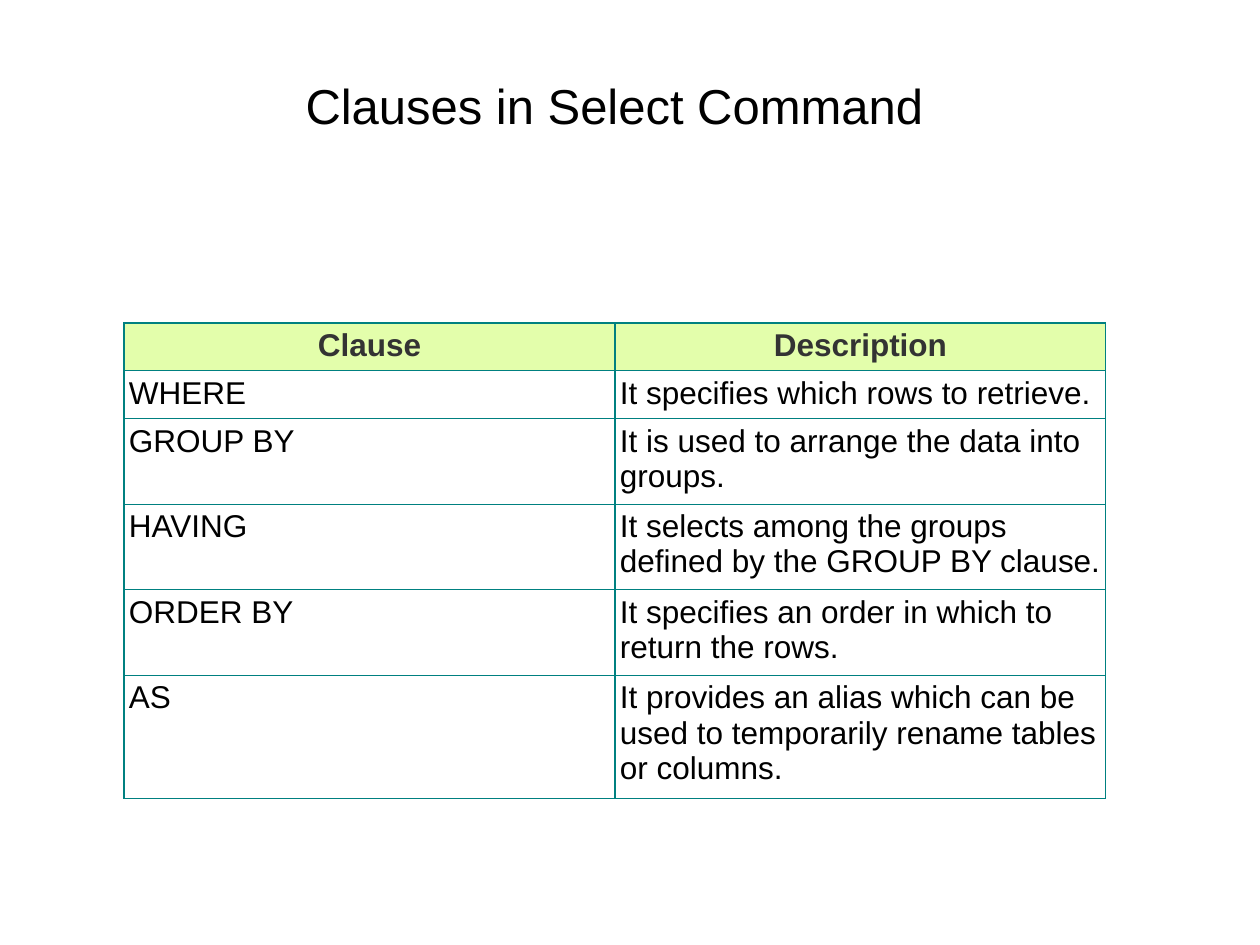
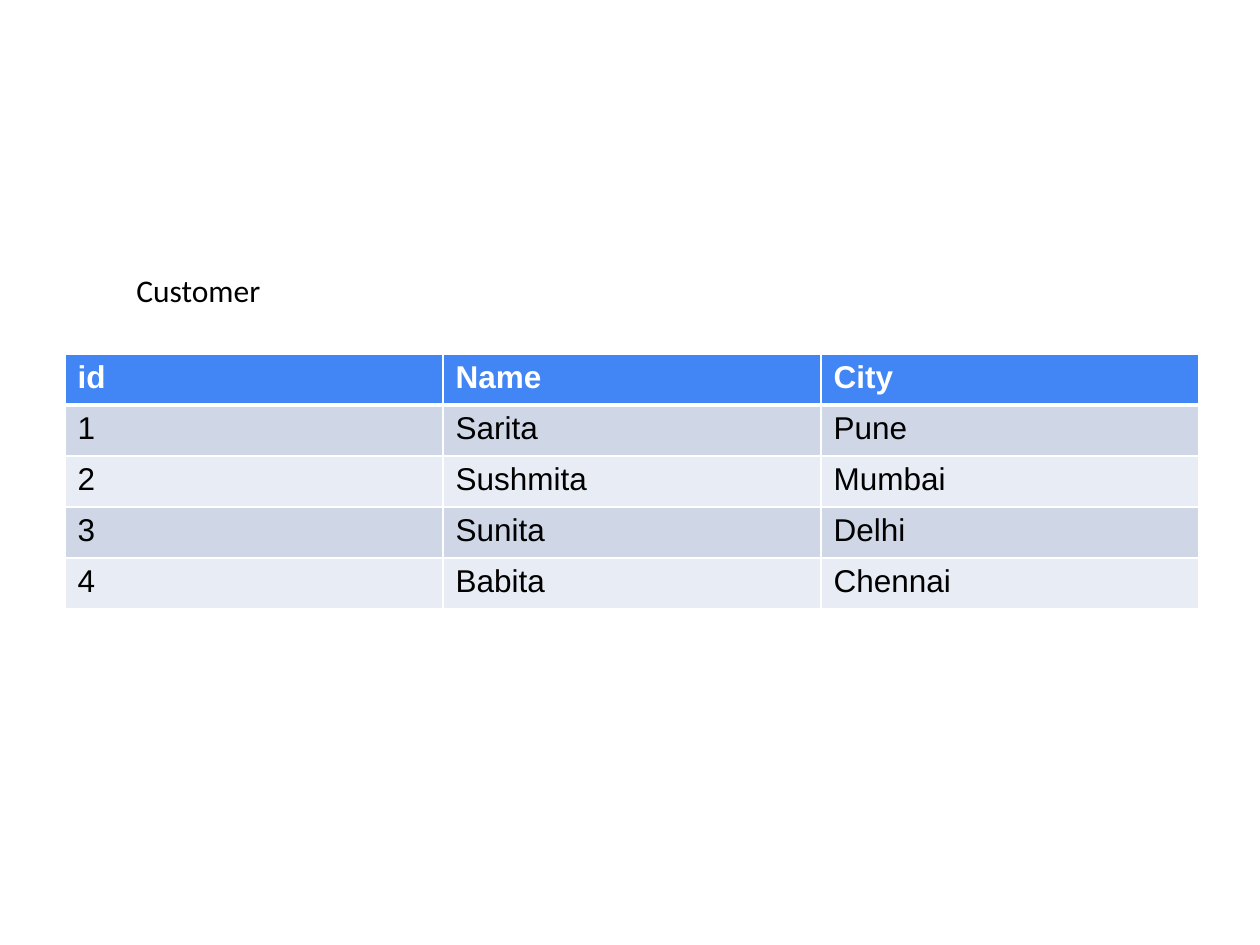
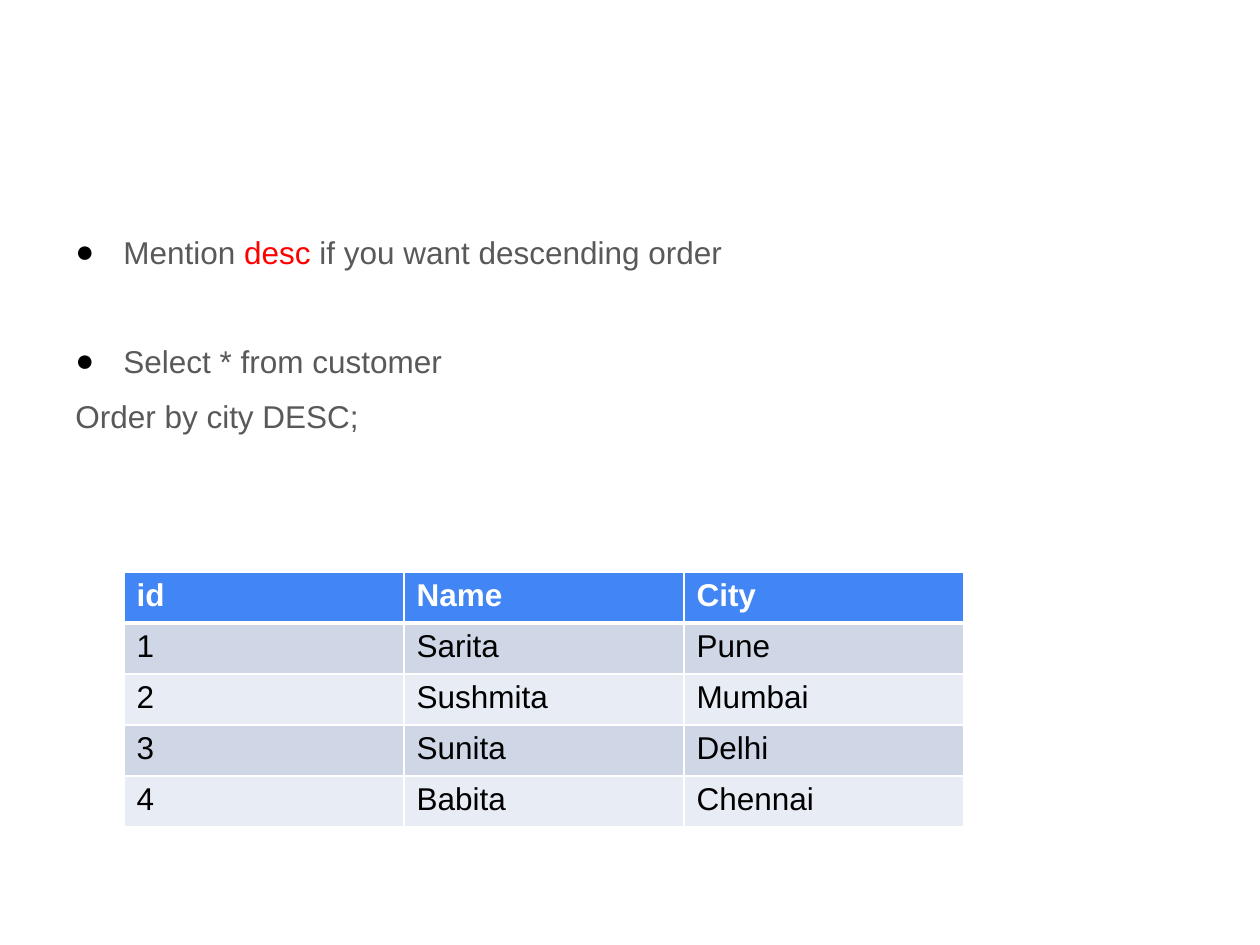
import dataclasses
import typing

import lxml.etree
import pptx
import pptx.dml.color
import pptx.enum.text
import pptx.oxml.ns
import pptx.util

PX_PER_INCH = 126


def px(length: int) -> pptx.util.Emu:
    return pptx.util.Emu(round(length * 914400 / PX_PER_INCH))


@dataclasses.dataclass(frozen=True)
class Theme:
    font: str = "Arial"
    label_font: str = "Calibri"
    title_size: int = 28
    text_size: int = 18
    black: str = "000000"
    white: str = "FFFFFF"
    gray: str = "595959"
    red: str = "FF0000"
    dark: str = "333333"
    lime: str = "E3FEAB"
    teal: str = "008080"
    blue: str = "4285F4"
    band: str = "CFD7E7"
    pale_band: str = "E8ECF4"


THEME = Theme()


@dataclasses.dataclass(frozen=True)
class Span:
    text: str
    color: str = THEME.black
    size: int = THEME.text_size
    font: str = THEME.font
    bold: bool = False


@dataclasses.dataclass(frozen=True)
class Para:
    spans: tuple[Span, ...]
    format: dict[str, typing.Any] = dataclasses.field(default_factory=dict)
    bullet: bool = False


@dataclasses.dataclass(frozen=True)
class Box:
    left: int
    top: int
    width: int
    height: int
    paras: tuple[Para, ...]
    format: dict[str, typing.Any] = dataclasses.field(default_factory=dict)


@dataclasses.dataclass(frozen=True)
class TableStyle:
    header_fill: str
    header_color: str
    body_fills: tuple[str, ...]
    border_color: str
    border: float
    header_rule: float
    row_height: int
    margins: dict[str, typing.Any]
    header_format: dict[str, typing.Any] = dataclasses.field(default_factory=dict)


@dataclasses.dataclass(frozen=True)
class Grid:
    left: int
    top: int
    column_width: int
    rows: tuple[tuple[str, ...], ...]
    style: TableStyle


CENTER = {"alignment": pptx.enum.text.PP_ALIGN.CENTER}

CLAUSE_STYLE = TableStyle(
    header_fill=THEME.lime, header_color=THEME.dark, body_fills=(THEME.white,),
    border_color=THEME.teal, border=0.75, header_rule=0.75, row_height=32,
    margins=dict.fromkeys(("margin_left", "margin_top", "margin_right", "margin_bottom"), px(5)),
    header_format=CENTER,
)
CUSTOMER_STYLE = TableStyle(
    header_fill=THEME.blue, header_color=THEME.white,
    body_fills=(THEME.band, THEME.pale_band),
    border_color=THEME.white, border=1, header_rule=3, row_height=51, margins={},
)

CLAUSES = (
    ("Clause", "Description"),
    ("WHERE", "It specifies which rows to retrieve."),
    ("GROUP BY", "It is used to arrange the data into groups."),
    ("HAVING", "It selects among the groups defined by the GROUP BY clause."),
    ("ORDER BY", "It specifies an order in which to return the rows."),
    ("AS", "It provides an alias which can be used to temporarily rename tables or columns."),
)
CUSTOMERS = (
    ("id", "Name", "City"),
    ("1", "Sarita", "Pune"),
    ("2", "Sushmita", "Mumbai"),
    ("3", "Sunita", "Delhi"),
    ("4", "Babita", "Chennai"),
)


def apply_format(target: typing.Any, values: dict[str, typing.Any]) -> None:
    for name, value in values.items():
        setattr(target, name, value)


def add_element(parent: typing.Any, tag: str, **attributes: str) -> typing.Any:
    return lxml.etree.SubElement(parent, pptx.oxml.ns.qn(tag), attributes)


def add_bullet(paragraph: typing.Any) -> None:
    properties = paragraph._p.get_or_add_pPr()
    apply_indent = {"marL": str(px(48)), "indent": str(-px(48))}
    for name, value in apply_indent.items():
        properties.set(name, value)
    color = add_element(properties, "a:buClr")
    add_element(color, "a:srgbClr", val=THEME.black)
    add_element(properties, "a:buFont", typeface=THEME.font)
    add_element(properties, "a:buChar", char="●")


def write_paragraph(paragraph: typing.Any, para: Para) -> None:
    apply_format(paragraph, para.format)
    if para.bullet:
        add_bullet(paragraph)
    for span in para.spans:
        run = paragraph.add_run()
        run.text = span.text
        apply_format(run.font, {
            "name": span.font,
            "size": pptx.util.Pt(span.size),
            "bold": span.bold,
        })
        run.font.color.rgb = pptx.dml.color.RGBColor.from_string(span.color)


def draw_box(page: typing.Any, box: Box) -> None:
    shape = page.shapes.add_textbox(px(box.left), px(box.top), px(box.width), px(box.height))
    frame = shape.text_frame
    apply_format(frame, {"word_wrap": True, **box.format})
    for index, para in enumerate(box.paras):
        paragraph = frame.add_paragraph() if index else frame.paragraphs[0]
        write_paragraph(paragraph, para)


def draw_borders(cell: typing.Any, color: str, widths: dict[str, float]) -> None:
    properties = cell._tc.get_or_add_tcPr()
    for side, width in widths.items():
        line = add_element(properties, f"a:ln{side}", w=str(pptx.util.Pt(width)))
        fill = add_element(line, "a:solidFill")
        add_element(fill, "a:srgbClr", val=color)


def draw_grid(page: typing.Any, grid: Grid) -> None:
    style = grid.style
    row_count, column_count = len(grid.rows), len(grid.rows[0])
    table = page.shapes.add_table(
        row_count, column_count, px(grid.left), px(grid.top),
        px(grid.column_width * column_count), px(style.row_height * row_count),
    ).table
    table.horz_banding = False
    for column in table.columns:
        column.width = px(grid.column_width)
    for row_index, texts in enumerate(grid.rows):
        table.rows[row_index].height = px(style.row_height)
        header = row_index == 0
        fill = style.header_fill if header else style.body_fills[(row_index - 1) % len(style.body_fills)]
        color = style.header_color if header else THEME.black
        widths = {
            "L": style.border,
            "R": style.border,
            "T": style.header_rule if row_index == 1 else style.border,
            "B": style.header_rule if header else style.border,
        }
        for column_index, text in enumerate(texts):
            cell = table.cell(row_index, column_index)
            apply_format(cell, style.margins)
            draw_borders(cell, style.border_color, widths)
            cell.fill.solid()
            cell.fill.fore_color.rgb = pptx.dml.color.RGBColor.from_string(fill)
            para = Para((Span(text, color, bold=header),), style.header_format if header else {})
            write_paragraph(cell.text_frame.paragraphs[0], para)


def body_para(*spans: Span, before: float = 0, bullet: bool = False) -> Para:
    return Para(spans, {"line_spacing": 1.15, "space_before": pptx.util.Pt(before)}, bullet)


TITLE = Box(
    54, 26, 1134, 158,
    (Para((Span("Clauses in Select Command ", size=THEME.title_size),), CENTER),),
    {"vertical_anchor": pptx.enum.text.MSO_ANCHOR.MIDDLE},
)
CUSTOMER_LABEL = Box(
    124, 265, 158, 51,
    (Para((Span("Customer", font=THEME.label_font),)),),
    {"auto_size": pptx.enum.text.MSO_AUTO_SIZE.SHAPE_TO_FIT_TEXT},
)
ORDER_NOTES = Box(
    63, 221, 1134, 624,
    (
        body_para(
            Span("Mention ", THEME.gray),
            Span("desc", THEME.red),
            Span(" if you want descending order", THEME.gray),
            bullet=True,
        ),
        body_para(Span("Select * from customer", THEME.gray), before=37.6, bullet=True),
        body_para(Span("Order by city DESC;", THEME.gray), before=6.4),
    ),
)

PAGES = (
    (TITLE, Grid(124, 323, 491, CLAUSES, CLAUSE_STYLE)),
    (Grid(65, 354, 378, CUSTOMERS, CUSTOMER_STYLE), CUSTOMER_LABEL),
    (ORDER_NOTES, Grid(124, 572, 280, CUSTOMERS, CUSTOMER_STYLE)),
)


def main() -> None:
    deck = pptx.Presentation()
    deck.slide_width, deck.slide_height = px(1260), px(945)
    for items in PAGES:
        page = deck.slides.add_slide(deck.slide_layouts[6])
        for item in items:
            if isinstance(item, Box):
                draw_box(page, item)
            else:
                draw_grid(page, item)
    deck.save("out.pptx")


if __name__ == "__main__":
    main()
